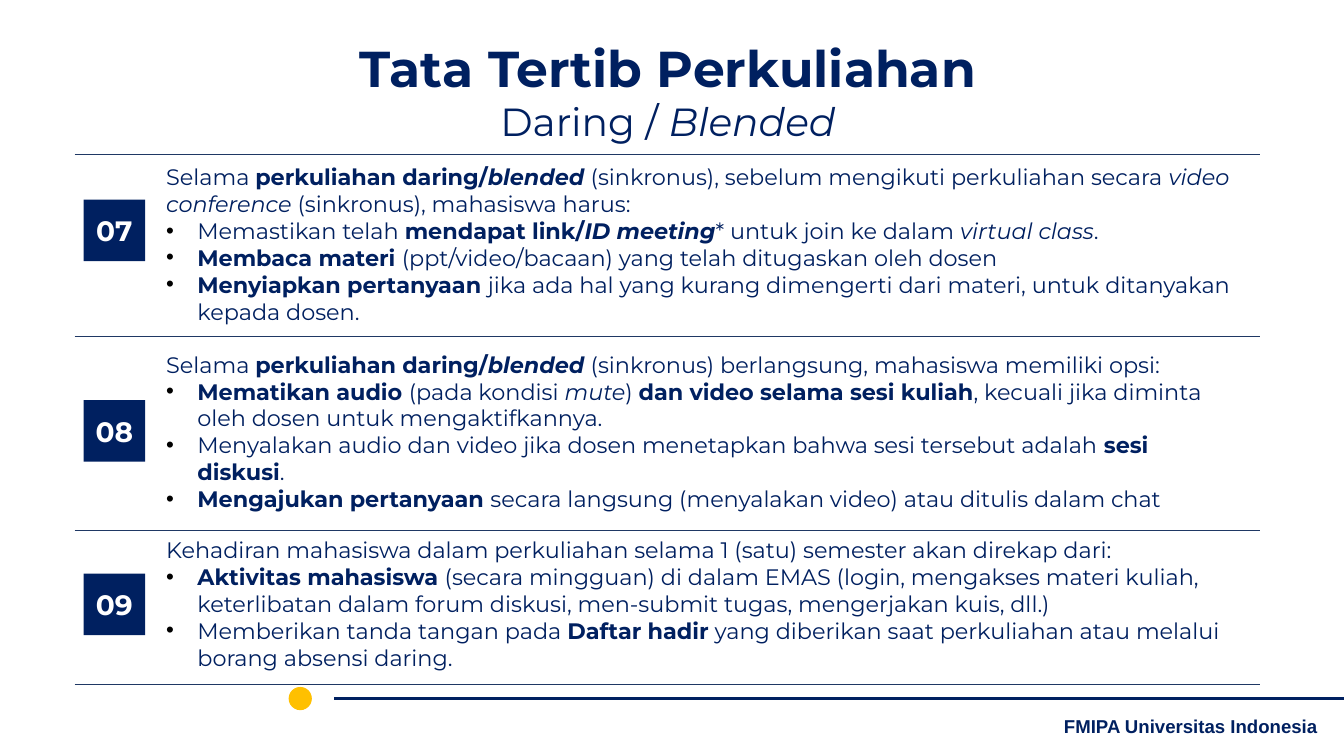
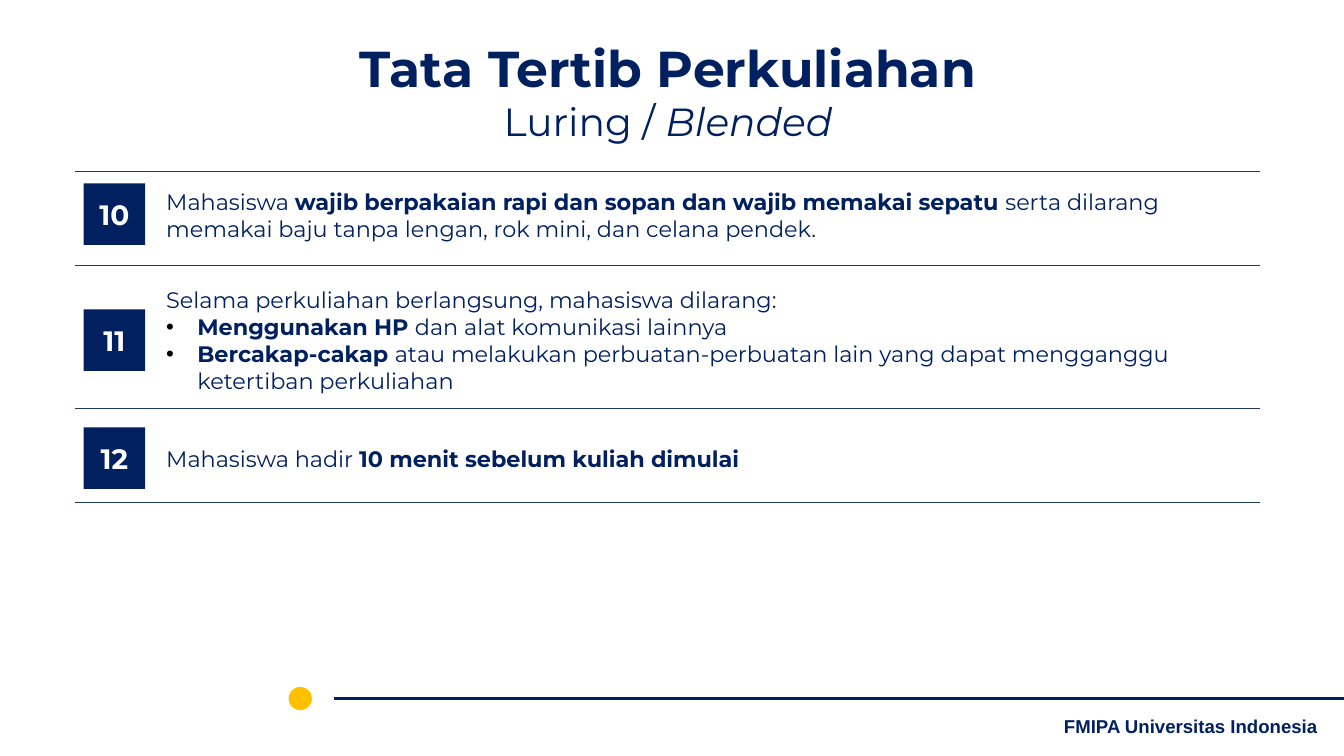
import lxml.etree
import pptx
import pptx.dml.color
import pptx.enum.shapes
import pptx.enum.text
import pptx.oxml.ns
import pptx.util

Inches = pptx.util.Inches
Pt = pptx.util.Pt
RGBColor = pptx.dml.color.RGBColor
Shape = pptx.enum.shapes.MSO_SHAPE
Anchor = pptx.enum.text.MSO_ANCHOR
Align = pptx.enum.text.PP_ALIGN
qn = pptx.oxml.ns.qn

NAVY = RGBColor(0x00, 0x20, 0x60)
RULE = RGBColor(0x1F, 0x38, 0x64)
GOLD = RGBColor(0xFF, 0xC0, 0x00)
WHITE = RGBColor(0xFF, 0xFF, 0xFF)
FONT = "Montserrat"
WIDTH, HEIGHT = 13.34, 7.5
RULE_LEFT, RULE_RIGHT = 0.74, 12.51
BADGE_LEFT, BADGE_SIZE = 0.83, 0.61
TEXT_LEFT, TEXT_WIDTH = 1.55, 10.84
INDENT = 0.31

ONLINE = {
    "mode": "Daring / ",
    "rules": [1.53, 3.34, 5.26, 6.79],
    "items": [
        ("07", 1.98, 1.57, 1.72, [
            [("Selama ", ""), ("perkuliahan daring/", "b"), ("blended ", "bi"),
             ("(sinkronus), sebelum mengikuti perkuliahan secara ", ""),
             ("video conference ", "i"), ("(sinkronus), mahasiswa harus:", "")],
            [("Memastikan telah ", ""), ("mendapat link/", "b"), ("ID meeting", "bi"),
             ("* untuk join ke dalam ", ""), ("virtual class", "i"), (".", "")],
            [("Membaca materi ", "b"),
             ("(ppt/video/bacaan) yang telah ditugaskan oleh dosen", "")],
            [("Menyiapkan pertanyaan ", "b"),
             ("jika ada hal yang kurang dimengerti dari materi, "
              "untuk ditanyakan kepada dosen.", "")],
        ]),
        ("08", 3.97, 3.43, 1.72, [
            [("Selama ", ""), ("perkuliahan daring/", "b"), ("blended ", "bi"),
             ("(sinkronus) berlangsung, mahasiswa memiliki opsi:", "")],
            [("Mematikan audio ", "b"), ("(pada kondisi ", ""), ("mute", "i"), (") ", ""),
             ("dan video selama sesi kuliah", "b"),
             (", kecuali jika diminta oleh dosen untuk mengaktifkannya.", "")],
            [("Menyalakan audio dan video jika dosen menetapkan bahwa "
              "sesi tersebut adalah ", ""), ("sesi diskusi", "b"), (".", "")],
            [("Mengajukan pertanyaan ", "b"),
             ("secara langsung (menyalakan video) atau ditulis dalam chat", "")],
        ]),
        ("09", 5.69, 5.27, 1.45, [
            [("Kehadiran mahasiswa dalam perkuliahan selama 1 (satu) semester "
              "akan direkap dari:", "")],
            [("Aktivitas mahasiswa ", "b"),
             ("(secara mingguan) di dalam EMAS (login, mengakses materi kuliah, "
              "keterlibatan dalam forum diskusi, men-submit tugas, "
              "mengerjakan kuis, dll.)", "")],
            [("Memberikan tanda tangan pada ", ""), ("Daftar hadir", "b"),
             (" yang diberikan saat perkuliahan atau melalui borang absensi daring.", "")],
        ]),
    ],
}

ONSITE = {
    "mode": "Luring / ",
    "rules": [1.7, 2.63, 4.05, 4.99],
    "items": [
        ("10", 1.82, 1.82, 0.64, [
            [("Mahasiswa ", ""),
             ("wajib berpakaian rapi dan sopan dan wajib memakai sepatu ", "b"),
             ("serta dilarang memakai baju tanpa lengan, rok mini, "
              "dan celana pendek.", "")],
        ]),
        ("11", 3.07, 2.79, 1.18, [
            [("Selama perkuliahan berlangsung, mahasiswa dilarang:", "")],
            [("Menggunakan HP ", "b"), ("dan alat komunikasi lainnya", "")],
            [("Bercakap-cakap ", "b"),
             ("atau melakukan perbuatan-perbuatan lain yang dapat mengganggu "
              "ketertiban perkuliahan", "")],
        ]),
        ("12", 4.24, 4.37, 0.37, [
            [("Mahasiswa hadir ", ""), ("10 menit sebelum kuliah dimulai", "b")],
        ]),
    ],
}


class RuleDeck:
    """Holds the deck, its style and the page being filled."""

    def __init__(self):
        self.deck = pptx.Presentation()
        self.deck.slide_width = Inches(WIDTH)
        self.deck.slide_height = Inches(HEIGHT)
        self.page = None

    def new_page(self):
        self.page = self.deck.slides.add_slide(
            self.deck.slide_layouts.get_by_name("Comparison"))
        self.line(3.32, WIDTH, 6.93, NAVY, 1.5)
        dot = self.shape(Shape.OVAL, 2.87, 6.82, 0.22, GOLD)
        dot.line.color.rgb = GOLD
        dot.line.width = Pt(0.75)
        box = self.page.shapes.add_textbox(
            Inches(10.28), Inches(7.08), Inches(3.08), Inches(0.25))
        self.frame(box, 0.13, 0.13, Anchor.MIDDLE)
        para = box.text_frame.paragraphs[0]
        para.alignment = Align.CENTER
        self.span(para, "FMIPA Universitas Indonesia", 13.3, "b", font="Arial")

    def place(self, box, left, top, width, height):
        box.left, box.top = Inches(left), Inches(top)
        box.width, box.height = Inches(width), Inches(height)
        self.frame(box, 0.1, 0.05, Anchor.TOP)

    def frame(self, box, side, edge, anchor):
        frame = box.text_frame
        frame.word_wrap = True
        frame.auto_size = pptx.enum.text.MSO_AUTO_SIZE.NONE
        frame.vertical_anchor = anchor
        frame.margin_left = frame.margin_right = Inches(side)
        frame.margin_top = frame.margin_bottom = Inches(edge)

    def para(self, box, index):
        frame = box.text_frame
        para = frame.add_paragraph() if index else frame.paragraphs[0]
        para.space_before = Pt(0)
        return para

    def span(self, para, text, size, style="", color=NAVY, font=FONT):
        span = para.add_run()
        span.text = text
        span.font.name = font
        span.font.size = Pt(size)
        span.font.bold = "b" in style
        span.font.italic = "i" in style
        span.font.color.rgb = color

    def bullet(self, para, shown):
        props = para._p.get_or_add_pPr()
        indent = Inches(INDENT) if shown else 0
        props.set("marL", str(indent))
        props.set("indent", str(-indent))
        if not shown:
            lxml.etree.SubElement(props, qn("a:buNone"))
            return
        color = lxml.etree.SubElement(props, qn("a:buClr"))
        lxml.etree.SubElement(color, qn("a:srgbClr"), val="000000")
        lxml.etree.SubElement(props, qn("a:buFont"), typeface="Arial")
        lxml.etree.SubElement(props, qn("a:buChar"), char="•")

    def title(self, mode):
        box = self.page.shapes.title
        self.place(box, 0.4, 0.32, 12.46, 1.18)
        lines = [[("Tata Tertib Perkuliahan", 36, "b")],
                 [(mode, 28, ""), ("Blended", 28, "i")]]
        for index, spans in enumerate(lines):
            para = self.para(box, index)
            para.alignment = Align.CENTER
            for span in spans:
                self.span(para, *span)

    def body(self, box, top, height, paras):
        self.place(box, TEXT_LEFT, top, TEXT_WIDTH, height)
        for index, spans in enumerate(paras):
            para = self.para(box, index)
            para.alignment = Align.LEFT
            self.bullet(para, index > 0)
            for text, style in spans:
                self.span(para, text, 16, style)

    def line(self, left, right, top, color, weight):
        line = self.page.shapes.add_connector(
            pptx.enum.shapes.MSO_CONNECTOR.STRAIGHT,
            Inches(left), Inches(top), Inches(right), Inches(top))
        line.line.color.rgb = color
        line.line.width = Pt(weight)
        lxml.etree.SubElement(line._element.spPr, qn("a:effectLst"))

    def shape(self, kind, left, top, size, color):
        shape = self.page.shapes.add_shape(
            kind, Inches(left), Inches(top), Inches(size), Inches(size))
        shape.shadow.inherit = False
        shape.fill.solid()
        shape.fill.fore_color.rgb = color
        shape.line.fill.background()
        return shape

    def badge(self, number, top):
        badge = self.shape(Shape.RECTANGLE, BADGE_LEFT, top, BADGE_SIZE, NAVY)
        self.frame(badge, 0.05, 0.05, Anchor.MIDDLE)
        para = badge.text_frame.paragraphs[0]
        para.alignment = Align.CENTER
        self.span(para, number, 20, "b", WHITE)

    def rules_page(self, mode, rules, items):
        self.new_page()
        self.title(mode)
        bodies = [box for box in self.page.placeholders
                  if box.placeholder_format.idx > 0]
        for box, (number, badge_top, top, height, paras) in zip(bodies, items):
            self.body(box, top, height, paras)
            self.badge(number, badge_top)
        for box in bodies[len(items):]:
            box._element.getparent().remove(box._element)
        for top in rules:
            self.line(RULE_LEFT, RULE_RIGHT, top, RULE, 0.75)


def main():
    rule_deck = RuleDeck()
    for content in (ONLINE, ONSITE):
        rule_deck.rules_page(**content)
    rule_deck.deck.save("out.pptx")


if __name__ == "__main__":
    main()
